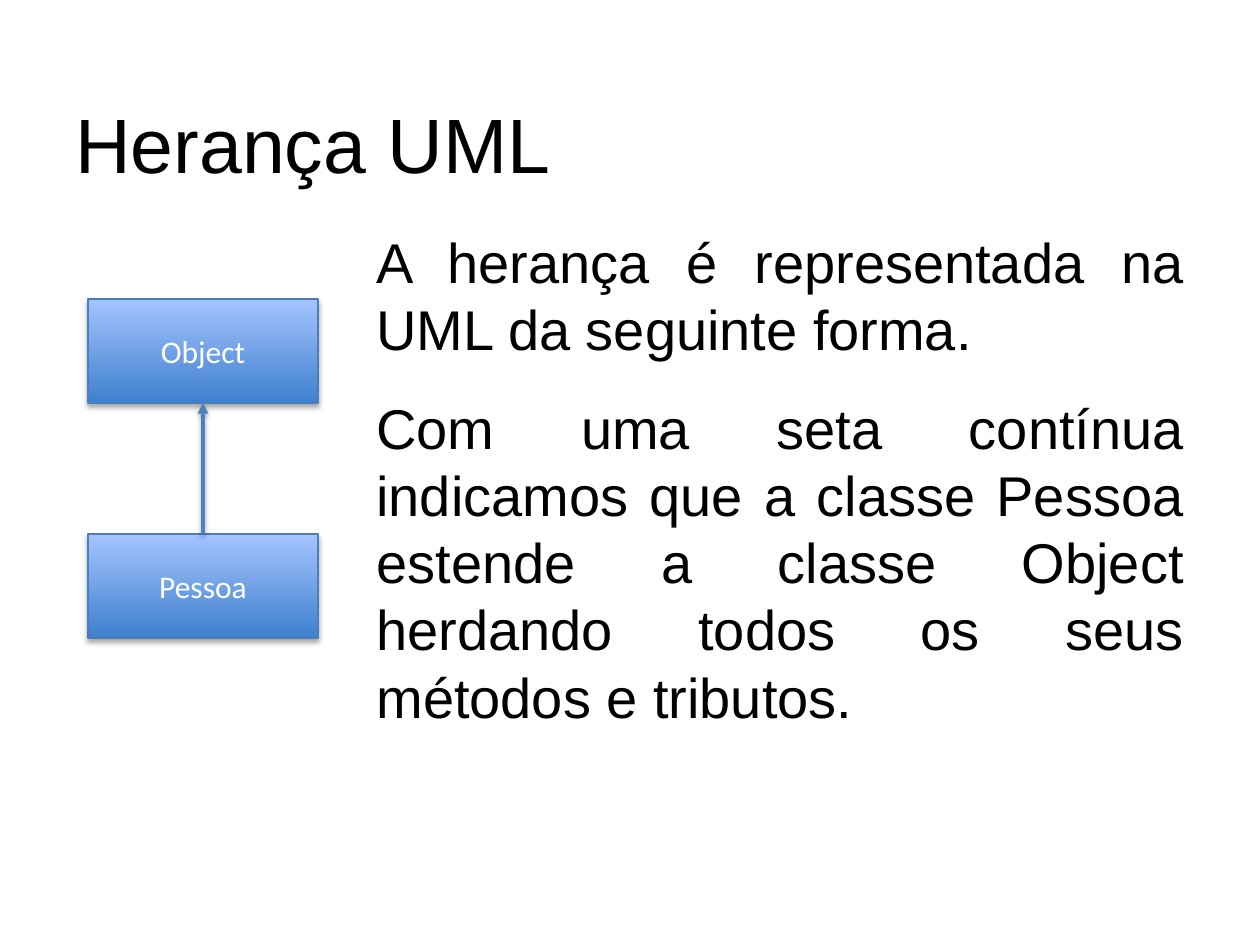
from lxml import etree
from pptx import Presentation, util as u
from pptx.dml.color import RGBColor
from pptx.enum import shapes, text
from pptx.oxml import ns

# Content
TITLE = "Herança UML"
BODY = [
    "A herança é representada na UML da seguinte forma.",
    "Com uma seta contínua indicamos que a classe Pessoa estende a classe "
    "Object herdando todos os seus métodos e tributos.",
]
NAMES = ["Object", "Pessoa"]

# Style, lengths in px
HEX = {"ink": "000000", "light": "FFFFFF", "low": "3F80CE", "high": "A4C4FF",
       "edge": "4B7EBC", "arrow": "4F81BD"}
HEAD = (63, 38, 1134, 157)
TEXT = (364, 221, 833, 623)
LEFT, TOP, WIDE, HIGH, STEP = 88, 299, 230, 104, 235
SCALE = 914400 / 126


def px(n):
    return u.Emu(round(n * SCALE))


def tone(key):
    return RGBColor.from_string(HEX[key])


def write(par, words, size, font, key):
    run = par.add_run()
    run.text = words
    run.font.size = u.Pt(size)
    run.font.name = font
    run.font.color.rgb = tone(key)


def add_box(slide, area):
    frame = slide.shapes.add_textbox(*map(px, area)).text_frame
    frame.word_wrap = True
    return frame


def shade(item, alpha, blur, dist):
    """Give a shape or connector a soft shadow straight below."""
    fx = etree.SubElement(item._element.spPr, ns.qn("a:effectLst"))
    drop = etree.SubElement(
        fx, ns.qn("a:outerShdw"), blurRad=str(u.Pt(blur)),
        dist=str(u.Pt(dist)), dir="5400000", rotWithShape="0")
    ink = etree.SubElement(drop, ns.qn("a:srgbClr"), val=HEX["ink"])
    etree.SubElement(ink, ns.qn("a:alpha"), val=str(alpha * 1000))


def add_class(slide, name, top):
    box = slide.shapes.add_shape(
        shapes.MSO_SHAPE.RECTANGLE, *map(px, (LEFT, top, WIDE, HIGH)))
    box.fill.gradient()
    box.fill.gradient_angle = 90
    for stop, key in zip(box.fill.gradient_stops, ("low", "high")):
        stop.color.rgb = tone(key)
    box.line.color.rgb = tone("edge")
    box.line.width = u.Pt(0.75)
    shade(box, 35, 3.1, 1.8)
    box.text_frame.vertical_anchor = text.MSO_ANCHOR.MIDDLE
    par = box.text_frame.paragraphs[0]
    par.alignment = text.PP_ALIGN.CENTER
    write(par, name, 18, "Calibri", "light")
    return box


def main():
    deck = Presentation()
    deck.slide_width, deck.slide_height = px(1260), px(945)
    slide = deck.slides.add_slide(deck.slide_layouts[6])

    # Title
    frame = add_box(slide, HEAD)
    frame.vertical_anchor = text.MSO_ANCHOR.BOTTOM
    write(frame.paragraphs[0], TITLE, 44, "Arial", "ink")

    # Explanation
    frame = add_box(slide, TEXT)
    for i, words in enumerate(BODY):
        par = frame.add_paragraph() if i else frame.paragraphs[0]
        par.alignment = text.PP_ALIGN.JUSTIFY
        par.space_after = u.Pt(18)
        write(par, words, 32, "Arial", "ink")

    # Class diagram
    base, child = [add_class(slide, name, TOP + i * STEP)
                   for i, name in enumerate(NAMES)]

    # Arrow from the child class up to its base
    link = slide.shapes.add_connector(
        shapes.MSO_CONNECTOR.STRAIGHT, 0, 0, 0, 0)
    link.begin_connect(child, 0)
    link.end_connect(base, 2)
    link.line.color.rgb = tone("arrow")
    link.line.width = u.Pt(2)
    etree.SubElement(link.line._get_or_add_ln(), ns.qn("a:tailEnd"),
                     type="triangle")
    shade(link, 38, 3.1, 1.6)

    deck.save("out.pptx")


if __name__ == "__main__":
    main()
